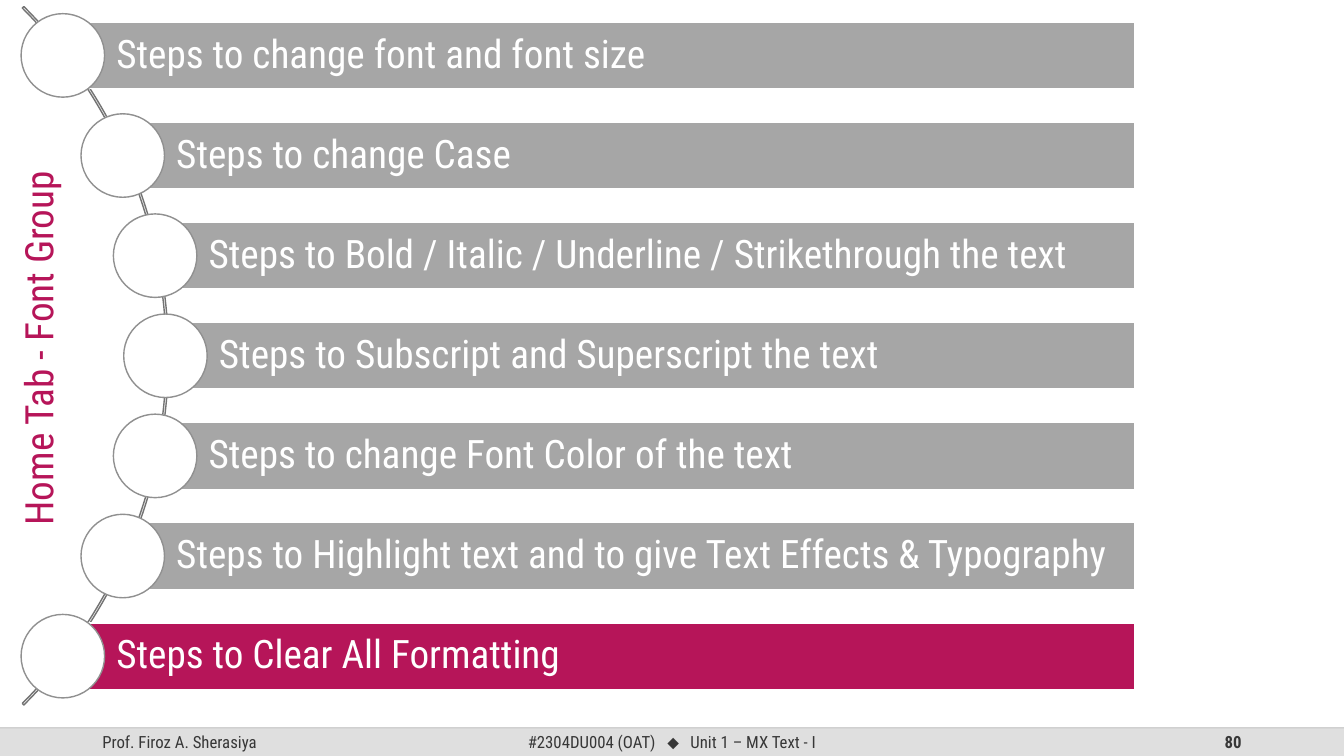
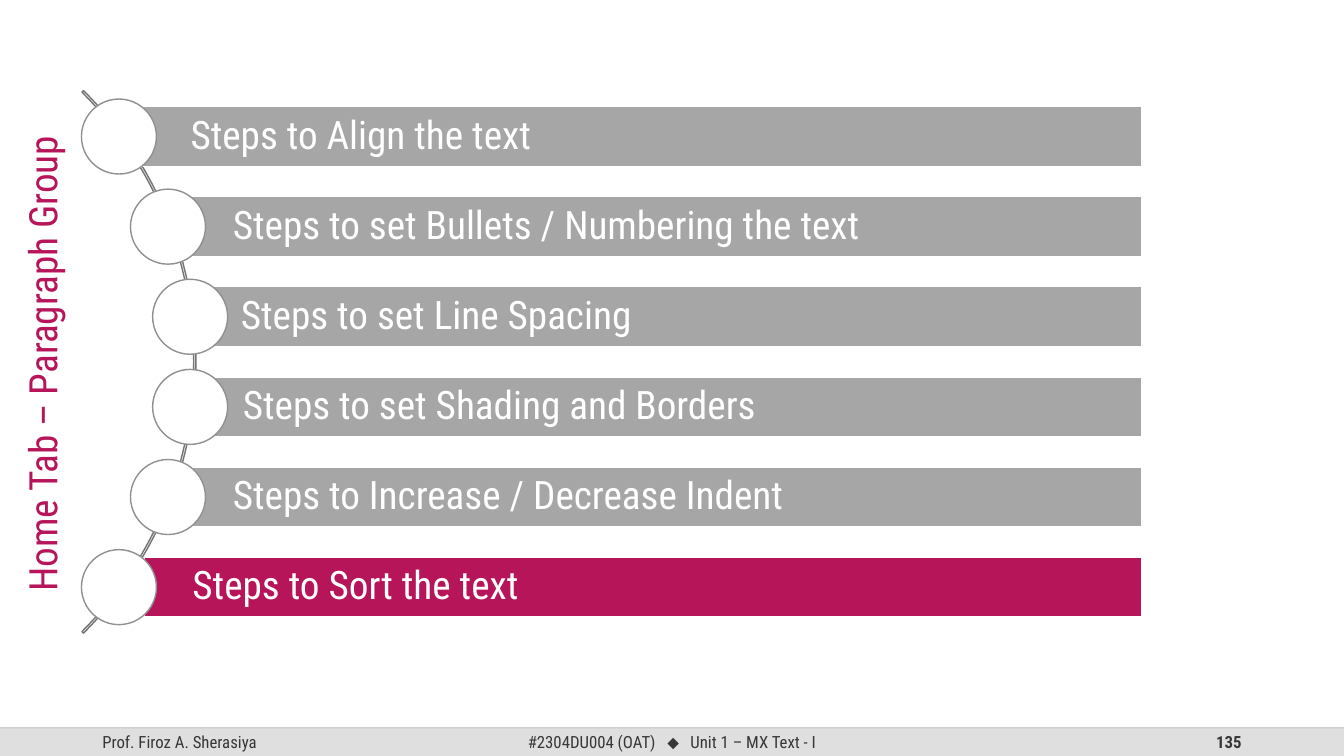
import math
from dataclasses import dataclass
from typing import Any, NamedTuple

import lxml.etree
import pptx
import pptx.dml.color
import pptx.enum.shapes
import pptx.enum.text
import pptx.oxml.ns
import pptx.slide
import pptx.util

FORM = pptx.enum.shapes.MSO_SHAPE
ALIGN = pptx.enum.text.PP_ALIGN
ANCHOR = pptx.enum.text.MSO_ANCHOR
FIT = pptx.enum.text.MSO_AUTO_SIZE
COLS = 160
ROWS = 90
CELL = pptx.util.Inches(7.5) / ROWS


@dataclass(frozen=True)
class Theme:
    font: str = "Roboto Condensed"
    sign: str = "Arial"
    white: str = "FFFFFF"
    bar: str = "A6A6A6"
    accent: str = "B61559"
    arc: str = "737373"
    rim: str = "909090"
    band: str = "DFDFDF"
    rule: str = "BFBFBF"
    ink: str = "373737"
    big: int = 28
    small: int = 12


class Box(NamedTuple):
    left: float
    top: float
    width: float
    height: float


class Part(NamedTuple):
    text: str
    font: str
    gap: int = 0


class Step(NamedTuple):
    text: str
    shift: float = 0


@dataclass(frozen=True)
class Page:
    title: str
    place: Box
    number: str
    hub: tuple[float, float]
    radius: float
    pitch: float
    dot: float
    right: float
    steps: tuple[Step, ...]


LOOK = Theme()
FOOT = 86.64
THICK = 0.26
INSET = 0.96

PAGES = (
    Page("Home Tab - Font Group", Box(1.08, 17.28, 8.04, 48.36), "80",
         (-38.74, 42.36), 58.8, 11.92, 9.94, 135.12, (
             Step("Steps to change font and font size"),
             Step("Steps to change Case"),
             Step("Steps to Bold / Italic / Underline / Strikethrough the text"),
             Step("Steps to Subscript and Superscript the text"),
             Step("Steps to change Font Color of the text"),
             Step("Steps to Highlight text and to give Text Effects & Typography"),
             Step("Steps to Clear All Formatting"),
         )),
    Page("Home Tab – Paragraph Group", Box(1.56, 14.04, 8.04, 58.56), "135",
         (-22.34, 43.08), 45.66, 10.73, 8.93, 135.88, (
             Step("Steps to Align the text", 2.8),
             Step("Steps to set Bullets / Numbering the text", 2),
             Step("Steps to set Line Spacing", 0.32),
             Step("Steps to set Shading and Borders", 0.56),
             Step("Steps to Increase / Decrease Indent", 2),
             Step("Steps to Sort the text", 3.04),
         )),
)


def size(cells: float) -> int:
    return round(cells * CELL)


def tint(code: str) -> pptx.dml.color.RGBColor:
    return pptx.dml.color.RGBColor.from_string(code)


def apply(item: Any, form: dict[str, Any]) -> None:
    for name, value in form.items():
        setattr(item, name, value)


def style(font: Any, points: int, code: str, name: str, bold: bool = False) -> None:
    apply(font, {"name": name, "size": pptx.util.Pt(points), "bold": bold})
    font.color.rgb = tint(code)


def draw(slide: pptx.slide.Slide, kind: Any, box: Box, fill: str | None, line: str | None) -> Any:
    shape = slide.shapes.add_shape(kind, *map(size, box))
    shape.shadow.inherit = False
    if fill:
        shape.fill.solid()
        shape.fill.fore_color.rgb = tint(fill)
    else:
        shape.fill.background()
    if line:
        shape.line.color.rgb = tint(line)
        shape.line.width = pptx.util.Pt(1)
    else:
        shape.line.fill.background()
    return shape


def note(slide: pptx.slide.Slide, left: float, width: float, parts: tuple[Part, ...],
         align: Any, bold: bool = False) -> None:
    box = Box(left, FOOT, width, ROWS - FOOT)
    frame = slide.shapes.add_textbox(*map(size, box)).text_frame
    apply(frame, {"word_wrap": True, "vertical_anchor": ANCHOR.MIDDLE})
    para = frame.paragraphs[0]
    para.alignment = align
    for part in parts:
        run = para.add_run()
        run.text = part.text
        style(run.font, LOOK.small, LOOK.ink, part.font, bold)
        if part.gap:
            run._r.get_or_add_rPr().set("spc", str(part.gap))


def footer(slide: pptx.slide.Slide, number: str) -> None:
    band = draw(slide, FORM.ROUNDED_RECTANGLE, Box(0, FOOT, COLS, ROWS - FOOT), LOOK.band, None)
    band.adjustments[0] = 0
    space = Part(" ", LOOK.font, 540)
    unit = (Part("#2304DU004 (OAT)", LOOK.font), space, Part("⬥", LOOK.sign), space,
            Part("Unit 1 – MX Text - I", LOOK.font))
    note(slide, 11, 36, (Part("Prof. Firoz A. Sherasiya", LOOK.font),), ALIGN.LEFT)
    note(slide, 53, 54, unit, ALIGN.CENTER)
    note(slide, 113, 36, (Part(number, LOOK.font),), ALIGN.RIGHT, True)
    rule = slide.shapes.add_connector(
        pptx.enum.shapes.MSO_CONNECTOR.STRAIGHT, 0, size(FOOT), size(COLS), size(FOOT))
    rule.line.color.rgb = tint(LOOK.rule)
    rule.line.width = pptx.util.Pt(1)
    mark = pptx.oxml.ns.qn
    for color in rule._element.spPr.iter(mark("a:srgbClr")):
        lxml.etree.SubElement(color, mark("a:alpha")).set("val", "70000")
    lxml.etree.SubElement(rule._element.spPr, mark("a:effectLst"))


def heading(slide: pptx.slide.Slide, text: str, box: Box) -> None:
    title = slide.shapes.title
    turn = (box.height - box.width) / 2
    flat = Box(box.left - turn, box.top + turn, box.height, box.width)
    apply(title, dict(zip(flat._fields, map(size, flat))))
    title.rotation = 270
    frame = title.text_frame
    frame.text = text
    apply(frame, {"word_wrap": True, "auto_size": FIT.NONE, "vertical_anchor": ANCHOR.TOP})
    para = frame.paragraphs[0]
    para.alignment = ALIGN.CENTER
    style(para.font, LOOK.big, LOOK.accent, LOOK.font)


def curve(slide: pptx.slide.Slide, page: Page) -> None:
    wide = 2 * page.radius
    box = Box(page.hub[0] - page.radius, page.hub[1] - page.radius, wide, wide)
    arc = draw(slide, FORM.BLOCK_ARC, box, None, LOOK.arc)
    for index, value in enumerate((189, 27, THICK / wide)):
        arc.adjustments[index] = value


def row(slide: pptx.slide.Slide, page: Page, index: int) -> None:
    step = page.steps[index]
    last = len(page.steps) - 1
    drop = (index - last / 2) * page.pitch
    mid = page.hub[1] + drop
    hub = page.hub[0] + math.sqrt((page.radius - 0.36) ** 2 - drop ** 2)
    left = hub + step.shift
    high = 0.8 * page.dot
    fill = LOOK.accent if index == last else LOOK.bar
    bar = draw(slide, FORM.RECTANGLE, Box(left, mid - high / 2, page.right - left, high),
               fill, LOOK.white)
    frame = bar.text_frame
    frame.text = step.text
    apply(frame, {
        "word_wrap": True,
        "vertical_anchor": ANCHOR.MIDDLE,
        "margin_left": size(0.64 * page.dot),
        "margin_top": size(INSET),
        "margin_right": size(INSET),
        "margin_bottom": size(INSET),
    })
    para = frame.paragraphs[0]
    apply(para, {"alignment": ALIGN.LEFT, "line_spacing": 0.9})
    style(para.font, LOOK.big, LOOK.white, LOOK.font)
    half = page.dot / 2
    draw(slide, FORM.OVAL, Box(hub - half, mid - half, page.dot, page.dot), LOOK.white, LOOK.rim)


def main() -> None:
    deck = pptx.Presentation()
    apply(deck, {"slide_width": size(COLS), "slide_height": size(ROWS)})
    for page in PAGES:
        slide = deck.slides.add_slide(deck.slide_layouts[5])
        footer(slide, page.number)
        curve(slide, page)
        for index in range(len(page.steps)):
            row(slide, page, index)
        heading(slide, page.title, page.place)
    deck.save("out.pptx")


if __name__ == "__main__":
    main()
